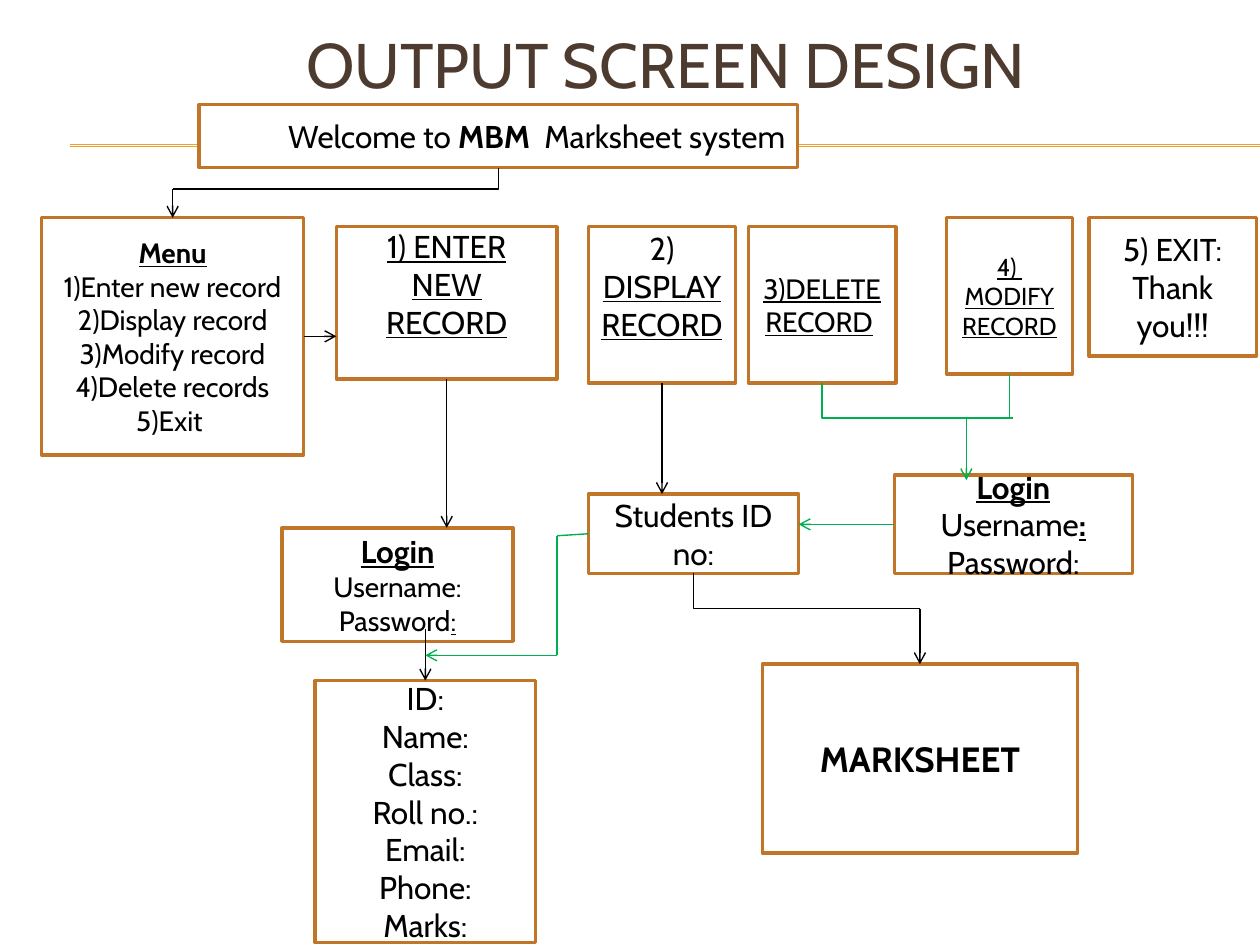
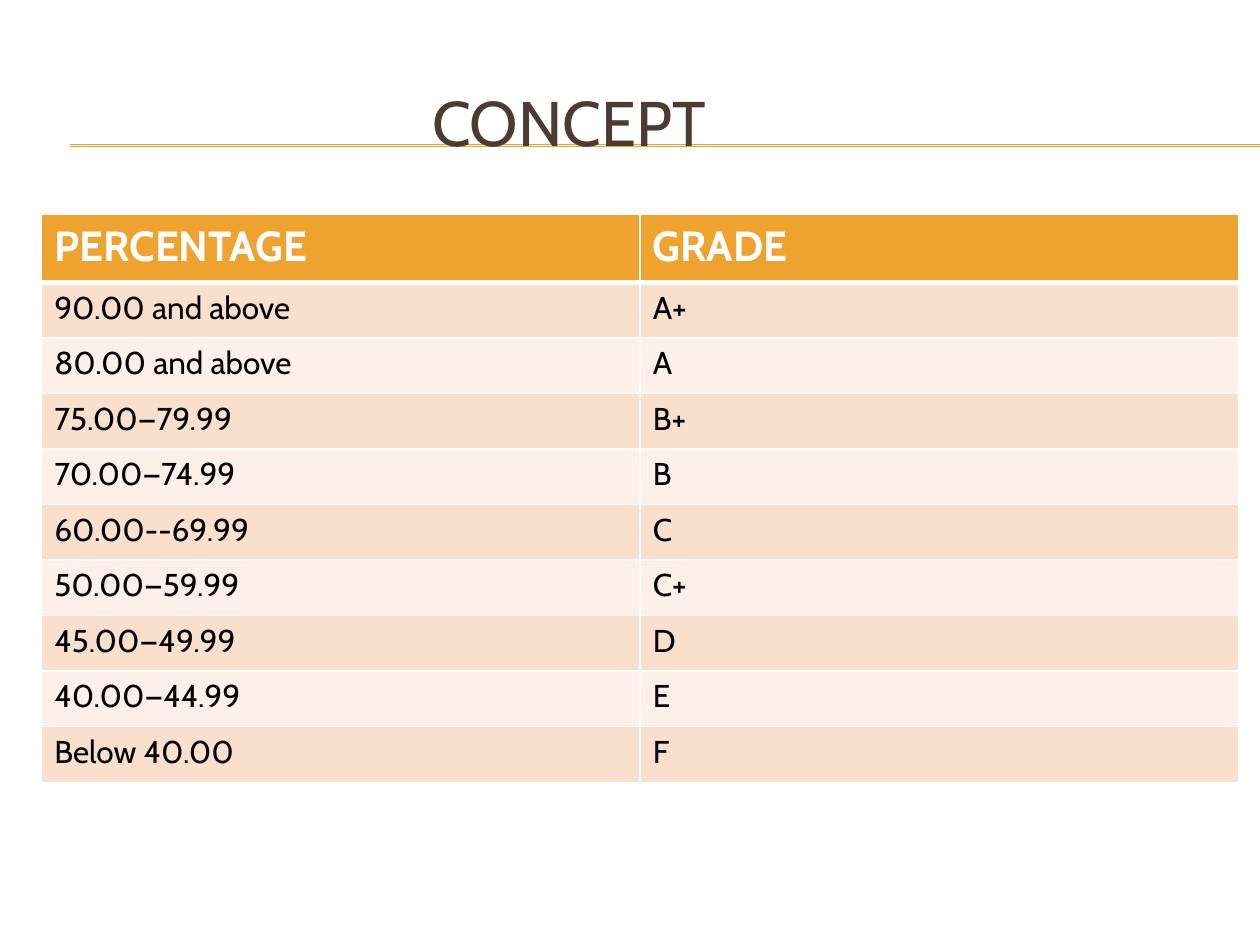
import pptx
import pptx.util
import pptx.dml.color
import pptx.enum.shapes
import pptx.enum.text
import pptx.oxml.ns
from lxml import etree

Cm, Pt = pptx.util.Cm, pptx.util.Pt
RGBColor = pptx.dml.color.RGBColor
Align = pptx.enum.text.PP_ALIGN
Anchor = pptx.enum.text.MSO_ANCHOR
Connector = pptx.enum.shapes.MSO_CONNECTOR
qn = pptx.oxml.ns.qn

FONT = "Cabin"
WHITE = RGBColor(0xFF, 0xFF, 0xFF)
BLACK = RGBColor(0, 0, 0)
BROWN = RGBColor(0x4E, 0x3B, 0x30)
ORANGE = RGBColor(0xF0, 0xA2, 0x2E)
COPPER = RGBColor(0xC1, 0x75, 0x29)
GREEN = RGBColor(0x00, 0xB0, 0x50)
BANDS = [RGBColor(0xF9, 0xE0, 0xCD), RGBColor(0xFC, 0xF0, 0xE8)]

TAB = 2.54
EMPTY_LINE = 0.76


def plain(size, *lines):
    return [(size, [(line, "")]) for line in lines]


BOXES = {
    "menu": ((0.84, 4.39, 5.28, 4.78), [(16, [("Menu", "bu")])] + plain(
        16, "1)Enter new record", "2)Display record", "3)Modify record",
        "4)Delete records", "5)Exit ")),
    "enter": ((6.78, 4.57, 4.45, 3.07), [
        (18, [("1) ENTER", "u"), (" ", ""), ("NEW", "u"), (" ", ""), ("RECORD", "u")])]),
    "display": ((11.86, 4.57, 2.97, 3.15), [
        (18, [("2) ", ""), ("DISPLAY", "u")]), (18, [("RECORD", "u")])]),
    "delete": ((15.09, 4.57, 2.97, 3.15), [
        (16, [("3)DELETE", "u"), (" ", ""), ("RECORD", "u"), (" ", "")])]),
    "modify": ((19.08, 4.39, 2.54, 3.15), [
        (14, [("4) ", "u")]), (14, [("MODIFY RECORD", "u")])]),
    "exit": ((21.95, 4.39, 3.38, 2.79), plain(18, "5) EXIT:", "Thank you!!!")),
    "details": ((6.35, 13.72, 4.45, 5.28), plain(
        18, "ID:", "Name:", "Class:", "Roll no.:", "Email:", "Phone:", "Marks:")),
    "welcome": ((4.01, 2.11, 12.07, 1.27), [
        (18, [("Welcome to ", ""), ("MBM ", "b"), (" Marksheet system", "")])]),
    "enter login": ((5.69, 10.64, 4.65, 2.29), [
        (18, [("Login", "bu")]), (16, [("Username:", "")]),
        (16, [("Password", ""), (":", "u")])]),
    "student": ((11.86, 9.96, 4.24, 1.6), plain(18, "Students ID no:")),
    "change login": ((18.03, 9.58, 4.8, 1.98), [
        (18, [("Login", "bu")]), (18, [("Username", ""), (":", "bu")]),
        (18, [("Password:", "")])]),
    "marksheet": ((15.37, 13.39, 6.35, 3.81), [(20, [("MARKSHEET", "b")])]),
}
RIGHT_ALIGNED = {"welcome"}
RAISED = {"enter", "display"}

GRADES = [
    ("PERCENTAGE", "GRADE"),
    ("90.00 and above", "A+"),
    ("80.00 and above", "A"),
    ("75.00—79.99", "B+"),
    ("70.00—74.99", "B"),
    ("60.00--69.99", "C"),
    ("50.00—59.99", "C+"),
    ("45.00—49.99", "D"),
    ("40.00—44.99", "E"),
    ("Below 40.00", "F"),
]


def format_run(run, size, color, style=""):
    run.font.name = FONT
    run.font.size = Pt(size)
    run.font.color.rgb = color
    run.font.bold = "b" in style
    run.font.underline = "u" in style


def add_line(slide, start, end, color, width=0.79, arrow=False, bent=False):
    kind = Connector.ELBOW if bent else Connector.STRAIGHT
    connector = slide.shapes.add_connector(kind, *[Cm(value) for value in (*start, *end)])
    connector.line.color.rgb = color
    connector.line.width = Pt(width)
    properties = connector._element.spPr
    if bent:
        properties.find(qn("a:prstGeom")).set("prst", "bentConnector2")
    if arrow:
        etree.SubElement(properties.find(qn("a:ln")), qn("a:tailEnd"), type="arrow")
    etree.SubElement(properties, qn("a:effectLst"))


def add_titled_slide(presentation, title, top, height, tabs):
    slide = presentation.slides.add_slide(presentation.slide_layouts[6])
    for y in (2.92, 2.95):
        add_line(slide, (1.42, y), (25.4, y), ORANGE, 0.75)
    shape = slide.shapes.add_textbox(Cm(0.84), Cm(top), Cm(24.13), Cm(height))
    frame = shape.text_frame
    frame.word_wrap = True
    frame.vertical_anchor = Anchor.MIDDLE
    frame.text = title
    paragraph = frame.paragraphs[0]
    paragraph._p.get_or_add_pPr().set("marL", str(Cm(TAB * tabs)))
    format_run(paragraph.runs[0], 36, BROWN)
    return slide


def add_box(slide, name):
    place, lines = BOXES[name]
    shape = slide.shapes.add_shape(
        pptx.enum.shapes.MSO_SHAPE.RECTANGLE, *[Cm(value) for value in place])
    shape.shadow.inherit = False
    shape.fill.solid()
    shape.fill.fore_color.rgb = WHITE
    shape.line.color.rgb = COPPER
    shape.line.width = Pt(2)
    frame = shape.text_frame
    frame.word_wrap = True
    frame.vertical_anchor = Anchor.MIDDLE
    if name in RAISED:
        frame.margin_bottom += Cm(EMPTY_LINE)
    for index, (size, pieces) in enumerate(lines):
        paragraph = frame.add_paragraph() if index else frame.paragraphs[0]
        paragraph.alignment = Align.RIGHT if name in RIGHT_ALIGNED else Align.CENTER
        for text, style in pieces:
            run = paragraph.add_run()
            run.text = text
            format_run(run, size, BLACK, style)


def edge(name, across, down):
    left, top, width, height = BOXES[name][0]
    return left + across * width, top + down * height


def top_of(name):
    return edge(name, 0.5, 0)


def bottom_of(name):
    return edge(name, 0.5, 1)


def add_flow(slide):
    for upper, lower, bend in (("welcome", "menu", 3.81), ("student", "marksheet", 12.27)):
        corner = (top_of(lower)[0], bend)
        add_line(slide, corner, bottom_of(upper), BLACK, bent=True)
        add_line(slide, corner, top_of(lower), BLACK, arrow=True)
    for upper, lower in (("enter", "enter login"), ("display", "student")):
        x, y = bottom_of(upper)
        add_line(slide, (x, y), (x, top_of(lower)[1]), BLACK, arrow=True)
    menu_right, enter_left = edge("menu", 1, 0)[0], edge("enter", 0, 0)[0]
    add_line(slide, (menu_right, 6.78), (enter_left, 6.78), BLACK, arrow=True)
    details = top_of("details")
    add_line(slide, (details[0], 12.67), details, BLACK, arrow=True)

    join = (19.48, 8.43)
    modify = bottom_of("modify")
    add_line(slide, join, bottom_of("delete"), GREEN, bent=True)
    add_line(slide, modify, (modify[0], join[1]), GREEN)
    add_line(slide, join, (modify[0] + 0.07, join[1]), GREEN)
    add_line(slide, join, (join[0], 9.68), GREEN, arrow=True)
    login = edge("change login", 0, 0.5)
    add_line(slide, login, (edge("student", 1, 0)[0], login[1]), GREEN, arrow=True)
    turn = edge("enter", 1, 0)[0]
    route = [edge("student", 0, 0.5), (turn, 10.8), (turn, 13.21), (details[0], 13.21)]
    for start, end in zip(route, route[1:]):
        add_line(slide, start, end, GREEN, arrow=end == route[-1])


def add_borders(cell, row):
    properties = cell._tc.get_or_add_tcPr()
    thick = {"lnB": row == 0, "lnT": row == 1}
    for side in ("lnL", "lnR", "lnT", "lnB"):
        width = Pt(3 if thick.get(side) else 1)
        border = etree.SubElement(properties, qn("a:" + side), w=str(width))
        fill = etree.SubElement(border, qn("a:solidFill"))
        etree.SubElement(fill, qn("a:srgbClr"), val=str(WHITE))


def add_grades(slide):
    table = slide.shapes.add_table(
        len(GRADES), 2, Cm(0.84), Cm(4.32), Cm(24.13), Cm(11.48)).table
    for row, values in enumerate(GRADES):
        header = row == 0
        table.rows[row].height = Cm(1.37 if header else 1.12)
        for column, value in enumerate(values):
            cell = table.cell(row, column)
            add_borders(cell, row)
            cell.fill.solid()
            cell.fill.fore_color.rgb = ORANGE if header else BANDS[(row - 1) % 2]
            cell.text_frame.text = value
            run = cell.text_frame.paragraphs[0].runs[0]
            if header:
                format_run(run, 24, WHITE, "b")
            else:
                format_run(run, 18, BLACK)


presentation = pptx.Presentation()
presentation.slide_width = Cm(25.4)
presentation.slide_height = Cm(19.05)

design = add_titled_slide(presentation, "OUTPUT SCREEN DESIGN", 0, 2.54, 2)
for box_name in BOXES:
    add_box(design, box_name)
add_flow(design)

concept = add_titled_slide(presentation, "CONCEPT", 1.27, 2.34, 3)
add_grades(concept)

presentation.save("out.pptx")
